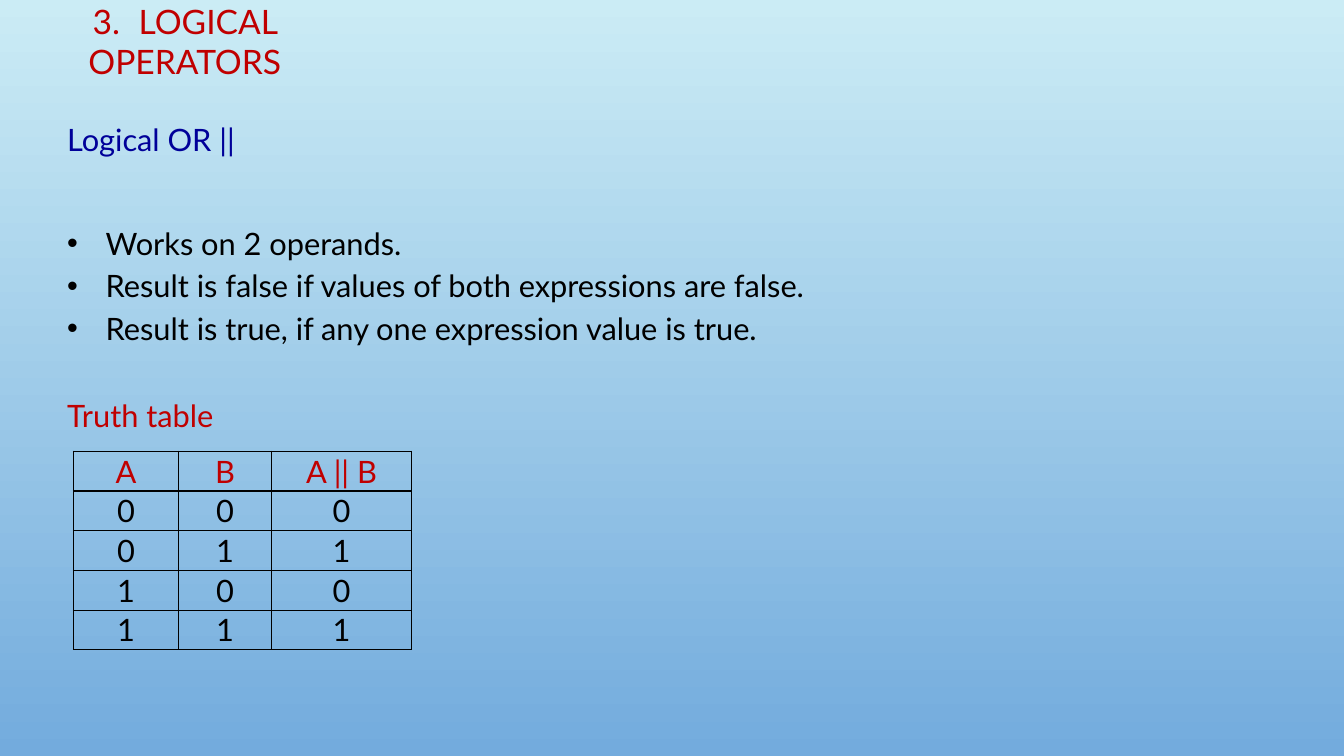
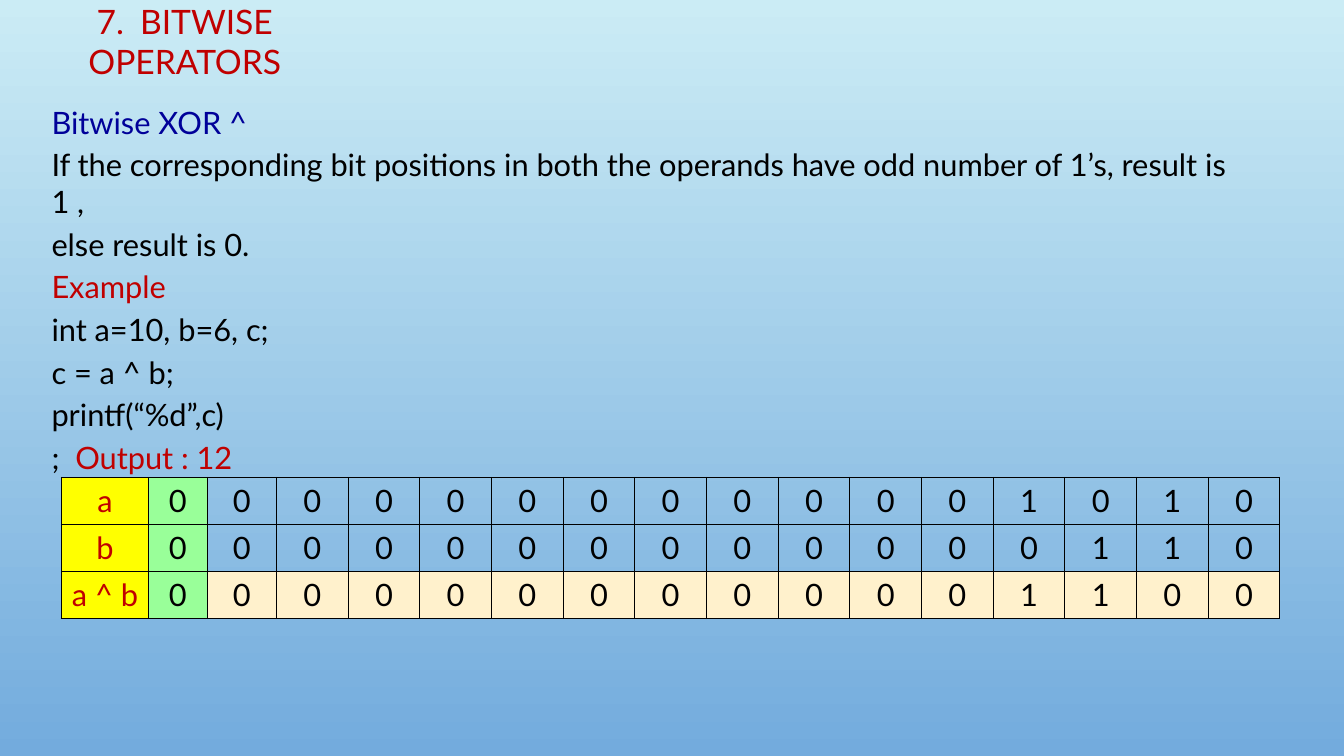
from lxml import etree
from pptx import Presentation
from pptx.dml.color import RGBColor
from pptx.enum import text
from pptx.oxml import ns
from pptx.util import Pt

COLORS = {
    "sky_top": "CBECF5",
    "sky_bottom": "73ABDD",
    "accent": "C00000",
    "heading": "000099",
    "ink": "000000",
    "label": "FFFF00",
    "sign": "99FF99",
    "result": "FFF1CC",
}
FONT = "Lato"
TITLE_SIZE, BODY_SIZE = 24, 22
BODY_GAP = 4
BULLET_INDENT = 27.5
TITLE_ONLY = 5


def rgb(name):
    return RGBColor.from_string(COLORS[name])


def format_font(paragraph, color, size=BODY_SIZE):
    font = paragraph.font
    font.name, font.size = FONT, Pt(size)
    font.color.rgb = rgb(color)


def format_frame(frame):
    frame.margin_left = frame.margin_top = frame.margin_right = frame.margin_bottom = 0
    frame.word_wrap = True
    frame.auto_size = text.MSO_AUTO_SIZE.NONE


def add_child(parent, tag, **attributes):
    return etree.SubElement(parent, ns.qn(tag), attributes)


def set_background(master):
    fill = master.background.fill
    fill.gradient()
    fill.gradient_angle = 270
    for stop, color, position in zip(
        fill.gradient_stops, ("sky_top", "sky_bottom"), (0, 1)
    ):
        stop.color.rgb = rgb(color)
        stop.position = position


def add_titled_slide(presentation, number, name, tab):
    """Add a slide whose title has its number set off by a tab stop."""
    slide = presentation.slides.add_slide(presentation.slide_layouts[TITLE_ONLY])
    title = slide.shapes.title
    title.left, title.top, title.width, title.height = Pt(26), Pt(0), Pt(212), Pt(59)
    frame = title.text_frame
    format_frame(frame)
    frame.vertical_anchor = text.MSO_ANCHOR.MIDDLE
    frame.text = f"{number}.\t{name}"
    paragraph = frame.paragraphs[0]
    paragraph.alignment = text.PP_ALIGN.CENTER
    tabs = add_child(paragraph._p.get_or_add_pPr(), "a:tabLst")
    add_child(tabs, "a:tab", pos=str(Pt(tab)), algn="l")
    format_font(paragraph, "accent", TITLE_SIZE)
    return slide


def add_bullet(paragraph):
    properties = paragraph._p.get_or_add_pPr()
    properties.set("marL", str(Pt(BULLET_INDENT)))
    properties.set("indent", str(-Pt(BULLET_INDENT)))
    add_child(properties, "a:buFont", typeface="Arial")
    add_child(properties, "a:buChar", char="•")


def add_body(slide, box, lines):
    """Write lines of (runs, space before, bulleted); a run is (words, colour)."""
    frame = slide.shapes.add_textbox(*map(Pt, box)).text_frame
    format_frame(frame)
    for index, (runs, gap, bulleted) in enumerate(lines):
        paragraph = frame.add_paragraph() if index else frame.paragraphs[0]
        if index:
            paragraph.space_before = Pt(gap)
        if bulleted:
            add_bullet(paragraph)
        format_font(paragraph, runs[0][1])
        for words, color in runs:
            run = paragraph.add_run()
            run.text = words
            if len(runs) > 1:
                run.font.color.rgb = rgb(color)


def line(words, color="ink", gap=BODY_GAP, bulleted=False):
    return [(words, color)], gap, bulleted


def add_borders(cell):
    properties = cell._tc.get_or_add_tcPr()
    for position, side in enumerate(("a:lnL", "a:lnR", "a:lnT", "a:lnB")):
        border = etree.Element(ns.qn(side), w=str(Pt(1)))
        add_child(add_child(border, "a:solidFill"), "a:srgbClr", val=COLORS["ink"])
        properties.insert(position, border)


def add_grid(slide, left, top, widths, row_height, rows, style):
    """Draw a bordered table; style(row, column) gives text and fill colours."""
    frame = slide.shapes.add_table(
        len(rows), len(widths), Pt(left), Pt(top),
        Pt(sum(widths)), Pt(row_height * len(rows)),
    )
    table = frame.table
    table.first_row = table.horz_banding = False
    for column, width in zip(table.columns, widths):
        column.width = Pt(width)
    for row_index, values in enumerate(rows):
        table.rows[row_index].height = Pt(row_height)
        for column_index, value in enumerate(values):
            cell = table.cell(row_index, column_index)
            color, fill = style(row_index, column_index)
            cell.margin_left = cell.margin_right = 0
            cell.margin_top = cell.margin_bottom = 0
            cell.vertical_anchor = text.MSO_ANCHOR.MIDDLE
            cell.text = value
            paragraph = cell.text_frame.paragraphs[0]
            paragraph.alignment = text.PP_ALIGN.CENTER
            format_font(paragraph, color)
            if fill:
                cell.fill.solid()
                cell.fill.fore_color.rgb = rgb(fill)
            else:
                cell.fill.background()
            add_borders(cell)


def truth_style(row, column):
    return ("ink" if row else "accent"), None


def bit_style(row, column):
    if column == 0:
        return "accent", "label"
    if column == 1:
        return "ink", "sign"
    return "ink", ("result" if row == 2 else None)


def add_logical_slide(presentation):
    slide = add_titled_slide(presentation, 3, "LOGICAL OPERATORS", 33)
    add_body(slide, (48, 86.5, 600, 222), [
        line("Logical OR ||", "heading"),
        line("Works on 2 operands.", gap=47.5, bulleted=True),
        line("Result is false if values of both expressions are false.", bulleted=True),
        line("Result is true, if any one expression value is true.", bulleted=True),
        line("Truth table", "accent", gap=36),
    ])
    rows = [("A", "B", "A || B"), *("000", "011", "100", "111")]
    add_grid(slide, 52.5, 322.3, (75, 66.5, 100), 28.4, rows, truth_style)


def add_bitwise_slide(presentation):
    slide = add_titled_slide(presentation, 7, "BITWISE OPERATORS", 31)
    add_body(slide, (36.8, 74, 851, 266), [
        line("Bitwise XOR ^", "heading"),
        line("If the corresponding bit positions in both the operands "
             "have odd number of 1’s, result is 1 ,"),
        line("else result is 0."),
        line("Example", "accent"),
        line("int a=10, b=6, c;"),
        line("c = a ^ b;"),
        line("printf(“%d”,c)"),
        ([(";  ", "ink"), ("Output : 12", "accent")], BODY_GAP, False),
    ])
    operands = {"a": 10, "b": 6, "a ^ b": 10 ^ 6}
    rows = [(name, *f"{value:016b}") for name, value in operands.items()]
    widths = [62, 42, 49.5] + [51.2] * 14
    add_grid(slide, 44, 341, widths, 33.6, rows, bit_style)


def main():
    presentation = Presentation()
    presentation.slide_width, presentation.slide_height = Pt(960), Pt(540)
    set_background(presentation.slide_master)
    add_logical_slide(presentation)
    add_bitwise_slide(presentation)
    presentation.save("out.pptx")


if __name__ == "__main__":
    main()
